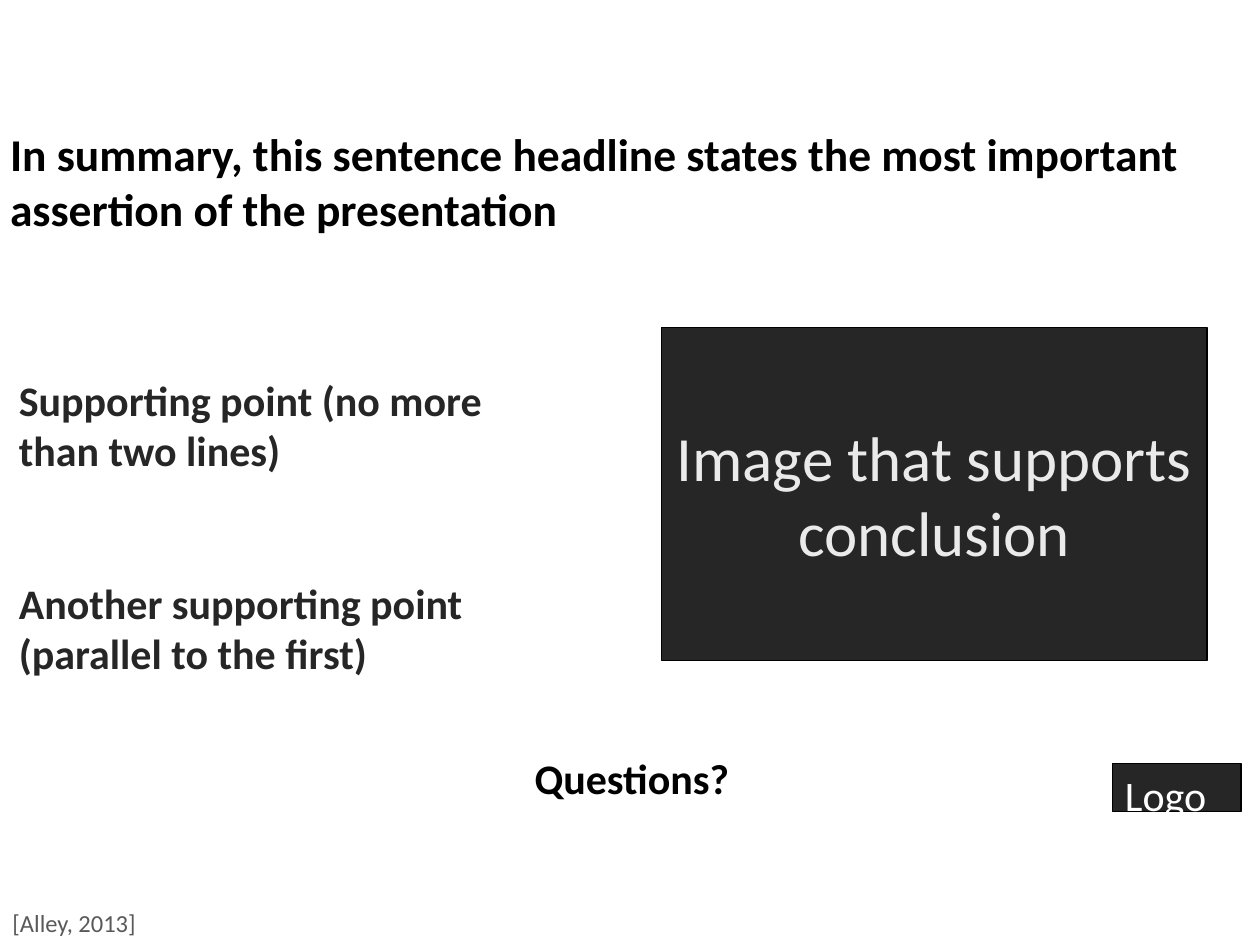
import pptx
import pptx.util
import pptx.dml.color
import pptx.enum.shapes
import pptx.enum.text

Inches, Pt = pptx.util.Inches, pptx.util.Pt
ALIGN = pptx.enum.text.PP_ALIGN
ANCHOR = pptx.enum.text.MSO_ANCHOR

HUES = {"black": "000000", "dark": "262626", "grey": "595959",
        "pale": "EAEAEA", "white": "FFFFFF"}
FONT = "Calibri"
PAD = (0.1, 0.05)
GAP = 58.6  # two 24 pt lines between supporting points

# Content: place, paragraphs, size, colour, then what differs from the defaults
TEXTS = [
    dict(at=(0, 7.16, 1.19, 0.34), paras=["[Alley, 2013]"],
         size=14, hue="grey", wrap=False),
    dict(at=(0.08, 2.94, 4.17, 2.48),
         paras=["Supporting point (no more than two lines)",
                "Another supporting point (parallel to the first)"],
         size=24, hue="dark", bold=True, pad=(0.07, 0.03)),
    dict(at=(5.25, 2.6, 4.33, 2.64), paras=["Image that supports conclusion"],
         size=36, hue="pale", fill="dark", align=ALIGN.CENTER,
         anchor=ANCHOR.MIDDLE),
    dict(at=(4.13, 5.92, 1.77, 0.38), paras=["Questions?"],
         size=24, hue="black", bold=True, align=ALIGN.CENTER),
    dict(at=(0.08, 1, 9.84, 0.88),
         paras=["In summary, this sentence headline states the most "
                "important assertion of the presentation"],
         size=26, hue="black", bold=True, pad=(0, 0)),
    dict(at=(8.83, 6.06, 1.02, 0.38), paras=["Logo"],
         size=24, hue="white", fill="dark"),
]


def color(name):
    return pptx.dml.color.RGBColor.from_string(HUES[name])


def add_box(slide, at, fill):
    place = [Inches(v) for v in at]
    if fill is None:
        return slide.shapes.add_textbox(*place)
    box = slide.shapes.add_shape(
        pptx.enum.shapes.MSO_SHAPE.RECTANGLE, *place)
    box.shadow.inherit = False
    box.fill.solid()
    box.fill.fore_color.rgb = color(fill)
    box.line.color.rgb = color("black")
    box.line.width = Pt(0.75)
    return box


def add_text(slide, at, paras, size, hue, bold=False, fill=None, pad=PAD,
             align=ALIGN.LEFT, anchor=ANCHOR.TOP, wrap=True):
    frame = add_box(slide, at, fill).text_frame
    frame.word_wrap = wrap
    frame.vertical_anchor = anchor
    frame.margin_left = frame.margin_right = Inches(pad[0])
    frame.margin_top = frame.margin_bottom = Inches(pad[1])
    for i, words in enumerate(paras):
        para = frame.add_paragraph() if i else frame.paragraphs[0]
        para.text = words
        para.alignment = align
        if i:
            para.space_before = Pt(GAP)
        para.font.name = FONT
        para.font.size = Pt(size)
        para.font.bold = bold
        para.font.color.rgb = color(hue)


def main():
    deck = pptx.Presentation()
    deck.slide_width, deck.slide_height = Inches(10), Inches(7.5)
    slide = deck.slides.add_slide(deck.slide_layouts[6])
    for item in TEXTS:
        add_text(slide, **item)
    deck.save("out.pptx")


if __name__ == "__main__":
    main()
